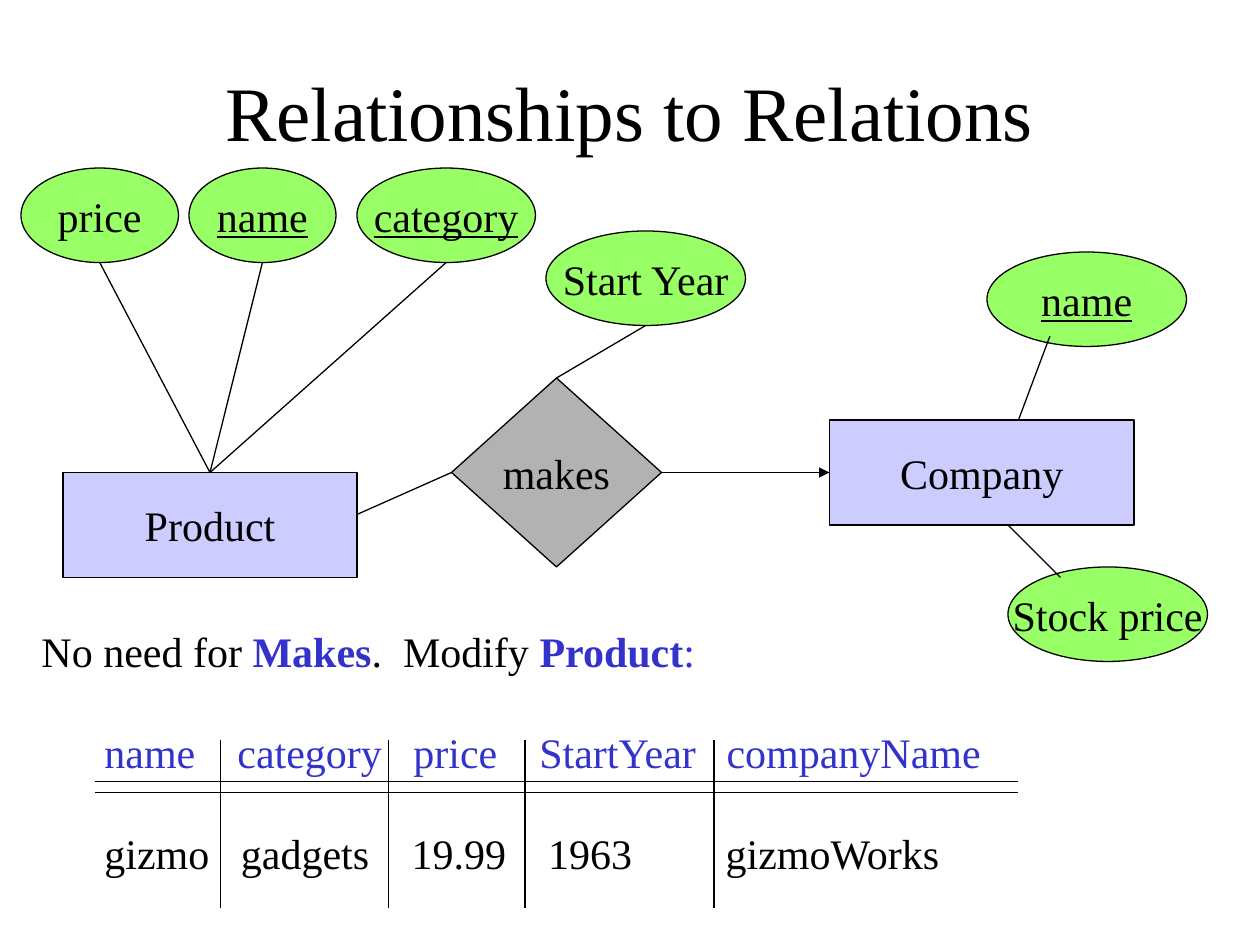
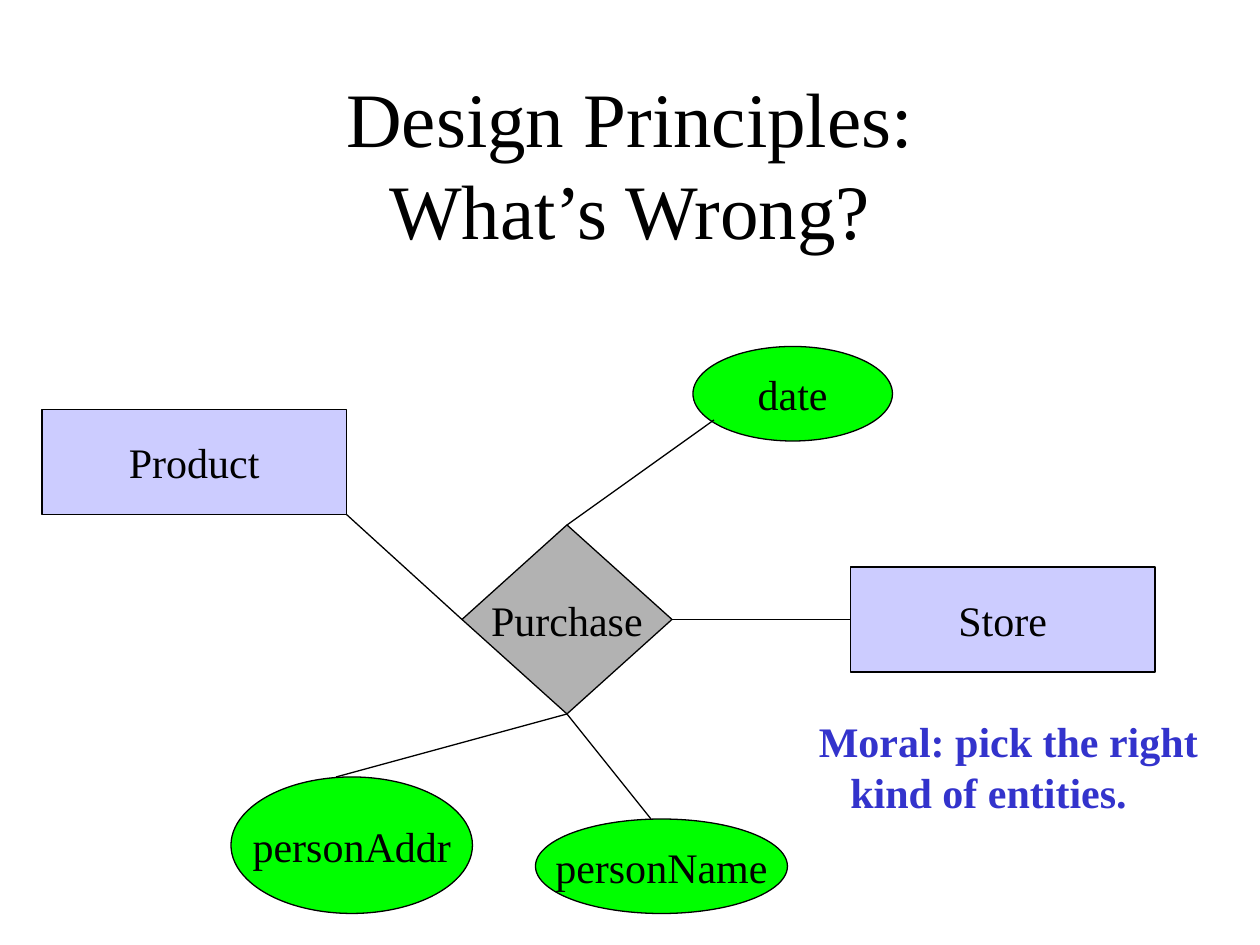
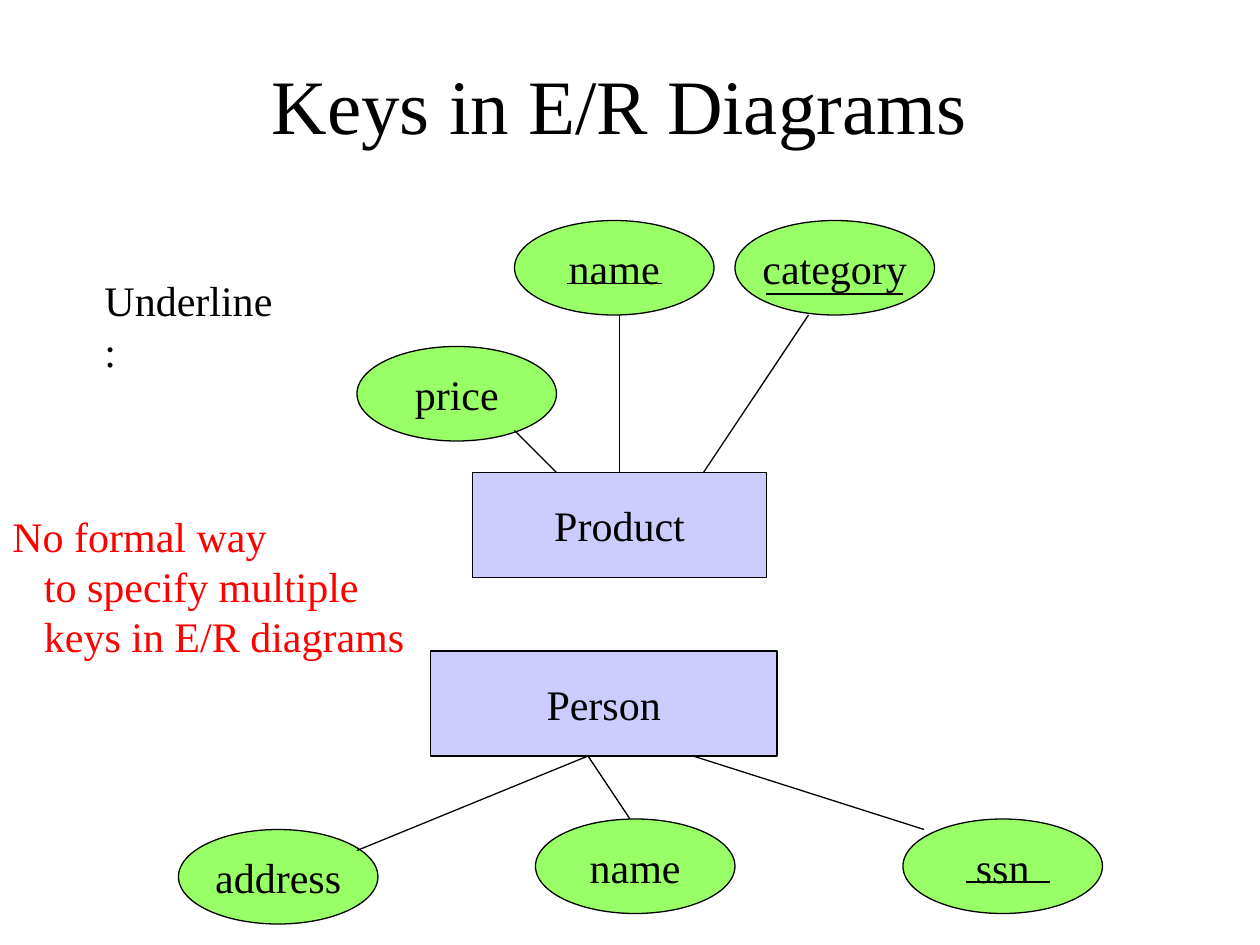
from dataclasses import dataclass

from lxml import etree
from pptx import Presentation
from pptx.dml.color import RGBColor
from pptx.enum.shapes import MSO_CONNECTOR, MSO_SHAPE
from pptx.enum.text import MSO_ANCHOR, PP_ALIGN
from pptx.oxml.ns import qn
from pptx.util import Pt

DIAMOND = MSO_SHAPE.DIAMOND
ELLIPSE = MSO_SHAPE.OVAL
RECTANGLE = MSO_SHAPE.RECTANGLE
STRAIGHT = MSO_CONNECTOR.STRAIGHT
MIDDLE = MSO_ANCHOR.MIDDLE
TOP = MSO_ANCHOR.TOP
CENTER = PP_ALIGN.CENTER
LEFT = PP_ALIGN.LEFT

COLORS = {
    "black": "000000",
    "blue": "3333CC",
    "red": "FF0000",
    "entity": "CCCCFF",
    "relationship": "B2B2B2",
    "attribute": "99FF66",
    "bright_attribute": "00FF00",
}
FONT = "Times New Roman"
TITLE_SIZE = 44
BODY_SIZE = 24
LINE_WIDTH = 0.75
LINE_HEIGHT = 28.8
HANGING_TABS = (18,)


@dataclass(frozen=True)
class Title:
    left: float
    top: float
    lines: tuple[str, ...]


@dataclass(frozen=True)
class Node:
    text: str
    left: float
    top: float
    width: float = 114
    height: float = 54
    fill: str = "attribute"
    geometry: int = ELLIPSE
    underline: bool = False


@dataclass(frozen=True)
class Link:
    x1: float
    y1: float
    x2: float
    y2: float
    arrow: bool = False


@dataclass(frozen=True)
class Span:
    text: str
    color: str = "black"
    bold: bool = False


@dataclass(frozen=True)
class Line:
    spans: tuple[Span, ...]
    tabs: tuple[float, ...] = ()
    space_before: float = 0


@dataclass(frozen=True)
class Note:
    left: float
    top: float
    width: float
    height: float
    lines: tuple[Line, ...]


@dataclass(frozen=True)
class Diagram:
    title: Title
    nodes: tuple[Node, ...]
    links: tuple[Link, ...]
    notes: tuple[Note, ...]


def entity(text: str, left: float, top: float, width: float = 174) -> Node:
    return Node(text, left, top, width, 60, "entity", RECTANGLE)


def relationship(text: str, left: float, top: float) -> Node:
    return Node(text, left, top, 120, 108, "relationship", DIAMOND)


def color_of(name: str) -> RGBColor:
    return RGBColor.from_string(COLORS[name])


def add_run(paragraph, span: Span, size: float = BODY_SIZE, underline: bool = False) -> None:
    run = paragraph.add_run()
    run.text = span.text
    run.font.name = FONT
    run.font.size = Pt(size)
    run.font.bold = span.bold
    run.font.underline = underline
    run.font.color.rgb = color_of(span.color)


def set_tabs(paragraph, positions: tuple[float, ...]) -> None:
    properties = paragraph._p.get_or_add_pPr()
    tab_list = etree.SubElement(properties, qn("a:tabLst"))
    for position in positions:
        etree.SubElement(tab_list, qn("a:tab"), pos=str(Pt(position)), algn="l")


def draw_title(slide, title: Title) -> None:
    shape = slide.shapes.add_textbox(Pt(title.left), Pt(title.top), Pt(612), Pt(90))
    frame = shape.text_frame
    frame.word_wrap = True
    frame.vertical_anchor = MIDDLE
    paragraph = frame.paragraphs[0]
    paragraph.alignment = CENTER
    for index, text in enumerate(title.lines):
        if index:
            paragraph.add_line_break()
        add_run(paragraph, Span(text), TITLE_SIZE)


def draw_node(slide, node: Node) -> None:
    shape = slide.shapes.add_shape(
        node.geometry, Pt(node.left), Pt(node.top), Pt(node.width), Pt(node.height)
    )
    shape.shadow.inherit = False
    shape.fill.solid()
    shape.fill.fore_color.rgb = color_of(node.fill)
    shape.line.color.rgb = color_of("black")
    shape.line.width = Pt(LINE_WIDTH)
    frame = shape.text_frame
    frame.word_wrap = False
    frame.vertical_anchor = MIDDLE
    paragraph = frame.paragraphs[0]
    paragraph.alignment = CENTER
    add_run(paragraph, Span(node.text), underline=node.underline)


def draw_link(slide, link: Link) -> None:
    connector = slide.shapes.add_connector(
        STRAIGHT, Pt(link.x1), Pt(link.y1), Pt(link.x2), Pt(link.y2)
    )
    connector.line.color.rgb = color_of("black")
    connector.line.width = Pt(LINE_WIDTH)
    properties = connector._element.spPr
    if link.arrow:
        etree.SubElement(properties.find(qn("a:ln")), qn("a:tailEnd"), type="triangle")
    etree.SubElement(properties, qn("a:effectLst"))


def draw_note(slide, note: Note) -> None:
    shape = slide.shapes.add_textbox(
        Pt(note.left), Pt(note.top), Pt(note.width), Pt(note.height)
    )
    frame = shape.text_frame
    frame.word_wrap = False
    frame.vertical_anchor = TOP
    for index, line in enumerate(note.lines):
        paragraph = frame.add_paragraph() if index else frame.paragraphs[0]
        paragraph.alignment = LEFT
        paragraph.space_before = Pt(line.space_before)
        if line.tabs:
            set_tabs(paragraph, line.tabs)
        for span in line.spans:
            add_run(paragraph, span)


def draw_diagram(presentation, diagram: Diagram) -> None:
    slide = presentation.slides.add_slide(presentation.slide_layouts[6])
    draw_title(slide, diagram.title)
    for node in diagram.nodes:
        draw_node(slide, node)
    for link in diagram.links:
        draw_link(slide, link)
    for note in diagram.notes:
        draw_note(slide, note)


def relation_row(cells: tuple[str, ...], color: str, tabs: tuple[float, ...]) -> Line:
    text = "".join("\t" + cell for cell in cells)
    return Line((Span(text, color),), tabs, LINE_HEIGHT)


def hanging_lines(texts: tuple[str, ...], color: str, bold: bool = False) -> tuple[Line, ...]:
    first, *others = texts
    return (
        Line((Span(first, color, bold),)),
        *(Line((Span("\t" + text, color, bold),), HANGING_TABS) for text in others),
    )


RELATION_RULES = tuple(Link(54, y, 582, y) for y in (446.7, 453))
RELATION_DIVIDERS = tuple(Link(x, 422.7, x, 518.7) for x in (126, 222, 300, 408))

RELATIONSHIPS = Diagram(
    Title(54, 18, ("Relationships to Relations",)),
    (
        relationship("makes", 258, 216),
        entity("Company", 474, 240),
        entity("Product", 36, 270, 168),
        Node("price", 12, 96, 90),
        Node("name", 108, 96, 84, underline=True),
        Node("category", 204, 96, 102, underline=True),
        Node("Start Year", 312, 132),
        Node("name", 564, 144, underline=True),
        Node("Stock price", 576, 324),
    ),
    (
        *(Link(120, 270, x, 150) for x in (57, 150, 255)),
        Link(258, 270, 204, 294),
        Link(318, 216, 369, 186),
        Link(378, 270, 474, 270, arrow=True),
        Link(582, 240, 600, 192),
        Link(576, 300, 606, 330),
        *RELATION_RULES,
        *RELATION_DIVIDERS,
    ),
    (
        Note(
            16.6, 354, 553.7, 151.2,
            (
                Line(
                    (
                        Span("No need for "),
                        Span("Makes", "blue", True),
                        Span(".  Modify "),
                        Span("Product", "blue", True),
                        Span(":", "blue"),
                    )
                ),
                relation_row(
                    ("name", "category", "price", "StartYear", "companyName"),
                    "blue",
                    (36, 112, 212.5, 284.5, 391.5),
                ),
                relation_row(
                    ("gizmo", "gadgets", "19.99", "1963", "gizmoWorks"),
                    "black",
                    (36, 114, 211.5, 289.5, 391),
                ),
            ),
        ),
    ),
)

DESIGN_PRINCIPLES = Diagram(
    Title(54, 48, ("Design Principles:", "What’s Wrong?")),
    (
        relationship("Purchase", 264, 300),
        entity("Product", 24, 234),
        entity("Store", 486, 324),
        Node("date", 396, 198, fill="bright_attribute"),
        Node("personName", 306, 468, 144, fill="bright_attribute"),
        Node("personAddr", 132, 444, 138, 78, fill="bright_attribute"),
    ),
    (
        Link(384, 354, 486, 354),
        Link(324, 300, 408, 240),
        Link(324, 408, 372, 468),
        Link(324, 408, 192, 444),
        Link(198, 294, 264, 354),
    ),
    (
        Note(
            460.8, 405.4, 231, 64.8,
            hanging_lines(("Moral: pick the right", "kind of entities."), "blue", True),
        ),
    ),
)

KEYS = Diagram(
    Title(48, 14, ("Keys in E/R Diagrams",)),
    (
        Node("address", 102, 474),
        Node("name", 306, 468),
        Node("ssn", 516, 468),
        entity("Person", 246, 372, 198),
        entity("Product", 270, 270, 168),
        Node("name", 294, 126),
        Node("category", 420, 126),
        Node("price", 204, 198),
    ),
    (
        Link(318, 270, 294, 246),
        Link(354, 270, 354, 180),
        Link(402, 270, 462, 180),
        Link(336, 432, 204, 486),
        Link(336, 432, 360, 468),
        Link(396, 432, 528, 474),
        Link(324, 162, 378, 162),
        Link(438, 168, 516, 168),
        Link(552, 504, 600, 504),
    ),
    (
        Note(
            0, 288, 238.3, 93.6,
            hanging_lines(
                ("No formal way", "to specify multiple", "keys in E/R diagrams"), "red"
            ),
        ),
        Note(52.6, 153.4, 116.6, 36, (Line((Span("Underline:"),)),)),
    ),
)


def main() -> None:
    presentation = Presentation()
    presentation.slide_width = Pt(720)
    presentation.slide_height = Pt(540)
    for diagram in (RELATIONSHIPS, DESIGN_PRINCIPLES, KEYS):
        draw_diagram(presentation, diagram)
    presentation.save("out.pptx")


if __name__ == "__main__":
    main()
